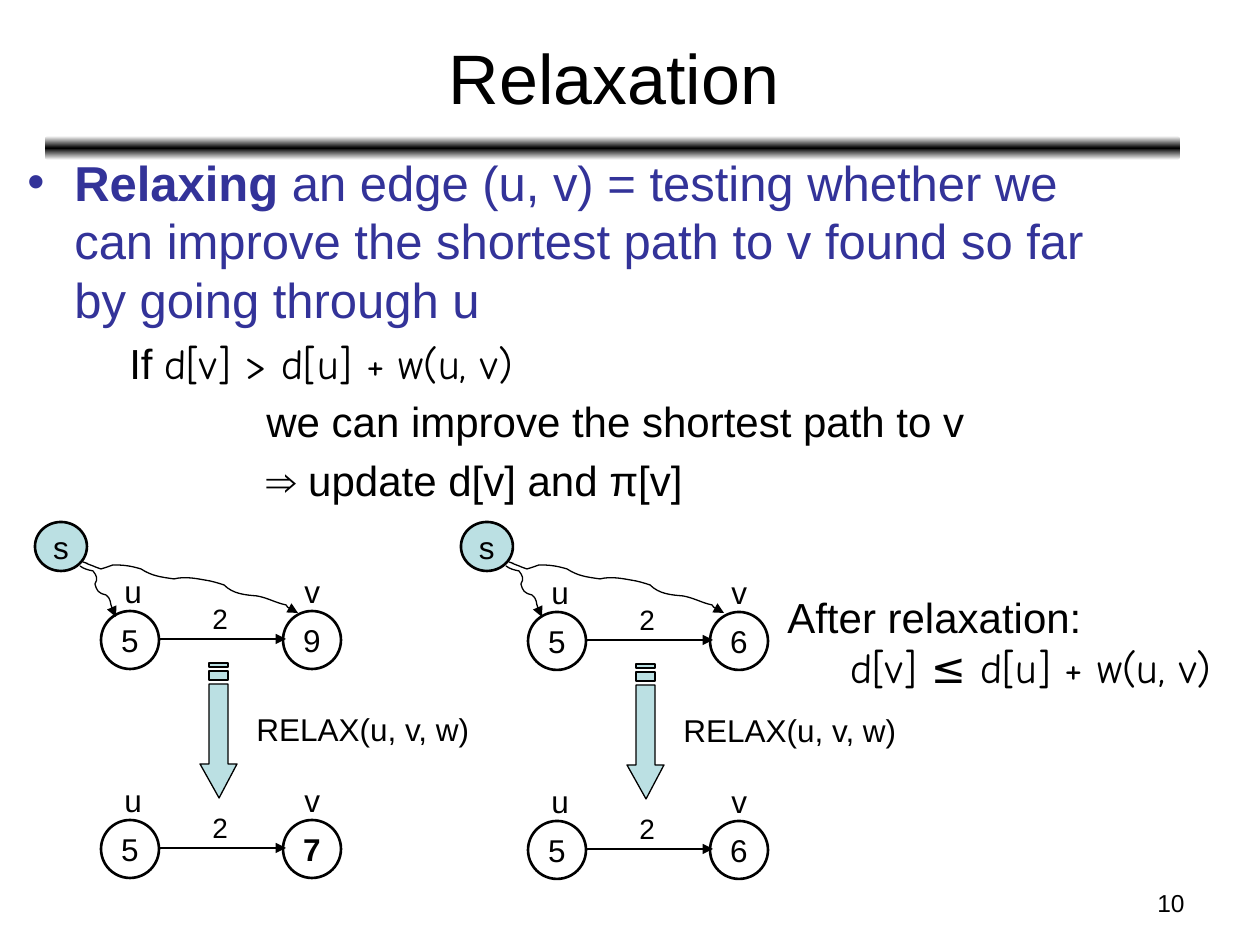
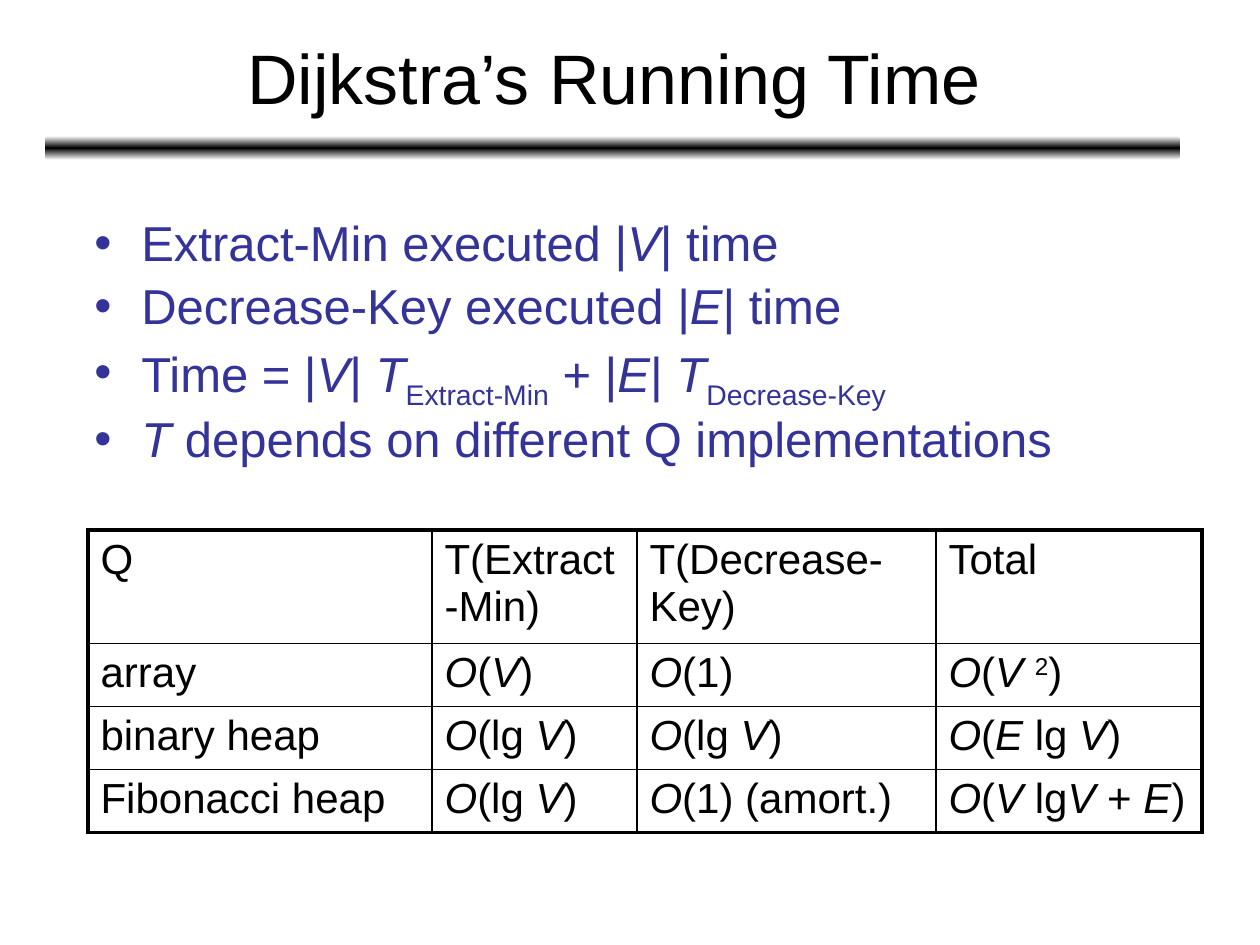
import copy
import pptx
import pptx.util
import pptx.dml.color
import pptx.enum.shapes
import pptx.enum.text
import pptx.oxml.ns
import pptx.oxml.xmlchemy
from lxml import etree

PX = 914400 / 126
BLACK = pptx.dml.color.RGBColor(0x00, 0x00, 0x00)
WHITE = pptx.dml.color.RGBColor(0xFF, 0xFF, 0xFF)
INDIGO = pptx.dml.color.RGBColor(0x33, 0x33, 0x99)
AQUA = pptx.dml.color.RGBColor(0xBB, 0xE0, 0xE3)
SANS, HAND = "Arial", "Comic Neue"
Pt = pptx.util.Pt
qn = pptx.oxml.ns.qn
SHAPE = pptx.enum.shapes.MSO_SHAPE
ALIGN = pptx.enum.text.PP_ALIGN
MIDDLE = pptx.enum.text.MSO_ANCHOR.MIDDLE


def marked(text):
    """Split text into runs; underscores switch italics on and off."""
    return [(part, "i" if n % 2 else "") for n, part in enumerate(text.split("_")) if part]


# ---- Content ----
RELAX_TITLE = "Relaxation"
RELAX_POINT = [("Relaxing ", "b"),
               ("an edge (u, v) = testing whether we can improve the shortest path "
                "to v found so far by going through u", "")]
RELAX_STEPS = [  # left indent, runs
    (102, [("If ", ""), ("d[v] > d[u] + w(u, v)", "hand")]),
    (239, [("we can improve the shortest path to v", "")]),
    (239, [("\u21d2 update d[v] and \u03c0[v]", "")]),
]
AFTER = ["After relaxation:", "d[v] \u2264 d[u] + w(u, v)"]
EXAMPLES = [  # graph corner, source corner, (v, style) before and after
    ((101, 611), (35, 522), [("9", ""), ("7", "b")]),
    ((528, 612), (461, 522), [("6", ""), ("6", "")]),
]
AFTER_STEP = 209
PATH_TO_U = [(45, 44), (49, 47), (53, 48), (58, 49), (62, 54), (63, 57), (60, 62),
             (62, 69), (63, 71), (71, 73), (77, 78), (74, 81), (78, 88),
             (79, 93), (79, 91), (81, 95)]
PATH_TO_V = [(48, 40), (60, 44), (42, 38), (58, 44), (60, 45), (66, 47), (66, 47),
             (76, 44), (72, 45), (78, 43), (89, 43), (96, 44), (106, 47),
             (117, 54), (125, 55), (139, 57), (151, 54), (163, 57), (175, 59),
             (180, 60), (189, 63), (189, 63), (198, 72), (210, 73), (222, 74),
             (233, 76), (241, 81), (251, 83), (253, 86), (257, 88), (260, 89),
             (261, 89), (263, 91), (263, 91)]
ARROW_PARTS = [  # right-pointing head and shaft, then the two stripes
    [(21, 9), (101, 9), (101, 0), (135, 18), (101, 37), (101, 28), (21, 28)],
    [(8, 9), (17, 9), (17, 28), (8, 28)],
    [(0, 9), (4, 9), (4, 28), (0, 28)],
]

TIME_TITLE = "Dijkstra\u2019s Running Time"
TIME_POINTS = [
    marked("Extract-Min executed |_V_| time"),
    marked("Decrease-Key executed |_E_| time"),
    marked("Time = |_V_| _T_") + [("Extract-Min", "sub")]
    + marked(" + |_E_| _T_") + [("Decrease-Key", "sub")],
    marked("_T_ depends on different Q implementations"),
]
LOG = marked("_\u039f_(lg_ V_)")
COSTS = [
    [marked(head) for head in ("Q", "T(Extract-Min)", "T(Decrease-Key)", "Total")],
    [marked("array"), marked("_\u039f_(_V_)"), marked("_\u039f_(1)"),
     marked("_\u039f_(_V _") + [("2", "sup"), (")", "")]],
    [marked("binary heap"), LOG, LOG, marked("_\u039f_(_E_ lg _V_)")],
    [marked("Fibonacci heap"), LOG, marked("_\u039f_(1) (amort.)"),
     marked("_\u039f_(_V_ lg_V_ + _E_)")],
]
COST_COLS, COST_ROW = [344, 205, 299, 266], 55


# ---- Helpers ----
def px(*lengths):
    return [pptx.util.Emu(round(n * PX)) for n in lengths]


def add_runs(p, runs, size, color=BLACK):
    for text, style in runs:
        r = p.add_run()
        r.text = text
        r.font.size, r.font.color.rgb = Pt(size), color
        r.font.name = HAND if style == "hand" else SANS
        r.font.bold, r.font.italic = style == "b", style == "i"
        if style in ("sub", "sup"):
            r._r.get_or_add_rPr().set("baseline", "-25000" if style == "sub" else "30000")


def layout_par(p, left=0, hang=0, bullet=False, relative_gap=True):
    pPr = p._p.get_or_add_pPr()
    pPr.set("marL", str(px(left)[0]))
    pPr.set("indent", str(-px(hang)[0]))
    if relative_gap:
        p.space_before = Pt(0)
        gap = pPr.find(qn("a:spcBef"))
        gap.remove(gap[0])
        etree.SubElement(gap, qn("a:spcPct")).set("val", "20000")
    if bullet:
        etree.SubElement(pPr, qn("a:buFont")).set("typeface", SANS)
        etree.SubElement(pPr, qn("a:buChar")).set("char", "\u2022")
    else:
        etree.SubElement(pPr, qn("a:buNone"))


def text_box(slide, at, wrap=True):
    sp = slide.shapes.add_textbox(*px(*at))
    sp.text_frame.word_wrap = wrap
    return sp


def label(slide, at, text, size=18):
    sp = text_box(slide, at, wrap=False)
    add_runs(sp.text_frame.paragraphs[0], [(text, "")], size)
    return sp


def style_shape(sp, width, fill=None):
    sp.shadow.inherit = False
    if fill is None:
        sp.fill.background()
    else:
        sp.fill.solid()
        sp.fill.fore_color.rgb = fill
    sp.line.color.rgb, sp.line.width = BLACK, Pt(width)
    return sp


def arrowhead(sp):
    etree.SubElement(sp.line._get_or_add_ln(), qn("a:tailEnd")).set("type", "triangle")


def node(slide, at, text, style="", fill=None):
    sp = style_shape(slide.shapes.add_shape(SHAPE.OVAL, *px(*at)), 1.5, fill)
    tf = sp.text_frame
    tf.word_wrap, tf.vertical_anchor = False, MIDDLE
    tf.paragraphs[0].alignment = ALIGN.CENTER
    add_runs(tf.paragraphs[0], [(text, style)], 18)
    return sp


def curve(slide, origin, points):
    """Draw an open path: a start point, then three points per Bezier piece."""
    x, y = origin
    builder = slide.shapes.build_freeform(*points[0], scale=PX)
    builder.add_line_segments(points[1:], close=False)
    sp = style_shape(builder.convert_to_shape(*px(x, y)), 0.75)
    lines = list(sp._element.iter(qn("a:lnTo")))
    for n in range(0, len(lines), 3):
        bezier = etree.Element(qn("a:cubicBezTo"))
        lines[n].addprevious(bezier)
        for ln in lines[n:n + 3]:
            bezier.append(ln[0])
            ln.getparent().remove(ln)
    arrowhead(sp)
    return sp


def edge_graph(slide, x, y, v, v_style):
    u_node = node(slide, (x, y, 58, 58), "5")
    v_node = node(slide, (x + 182, y, 58, 58), v, v_style)
    edge = slide.shapes.add_connector(pptx.enum.shapes.MSO_CONNECTOR.STRAIGHT,
                                      *px(x + 58, y + 28, x + 185, y + 28))
    edge.line.color.rgb, edge.line.width = BLACK, Pt(1.5)
    arrowhead(edge)
    etree.SubElement(edge._element.spPr, qn("a:effectLst"))
    slide.shapes.add_group_shape([
        u_node, v_node, edge,
        label(slide, (x + 99, y - 16, 40, 47), "2", 16),
        label(slide, (x + 11, y - 45, 43, 50), "u"),
        label(slide, (x + 191, y - 45, 42, 50), "v")])


def relax_arrow(slide, x, y):
    builder = None
    for part in ARROW_PARTS:
        if builder is None:
            builder = slide.shapes.build_freeform(*part[0], scale=PX)
        else:
            builder.move_to(*part[0])
        builder.add_line_segments(part[1:], close=True)
    sp = style_shape(builder.convert_to_shape(*px(x, y)), 0.75, AQUA)
    sp.rotation = 90


def add_slide(prs, title):
    """Title-only slide with the shared title style and gradient rule."""
    slide = prs.slides.add_slide(prs.slide_layouts[5])
    band = slide.shapes.add_shape(SHAPE.ROUNDED_RECTANGLE, *px(45, 136, 1135, 24))
    band.shadow.inherit = False
    band.line.fill.background()
    band.fill.gradient()
    band.fill.gradient_angle = 90
    first, last = band.fill.gradient_stops
    first.color.rgb, first.position = WHITE, 0
    last.color.rgb, last.position = BLACK, 0.5
    stops = list(band._element.iter(qn("a:gs")))
    end = copy.deepcopy(stops[0])
    end.set("pos", "100000")
    stops[1].addnext(end)

    sp = slide.shapes.title
    sp.left, sp.top, sp.width, sp.height = px(47, 14, 1134, 125)
    sp.text_frame.vertical_anchor = MIDDLE
    p = sp.text_frame.paragraphs[0]
    p.alignment = ALIGN.CENTER
    add_runs(p, [(title, "")], 40)
    return slide


def set_borders(cell, widths):
    tcPr = cell._tc.get_or_add_tcPr()
    for side, width in zip("LRTB", widths):
        ln = etree.SubElement(tcPr, qn("a:ln" + side), w=str(Pt(width)))
        fill = etree.SubElement(ln, qn("a:solidFill"))
        etree.SubElement(fill, qn("a:srgbClr")).set("val", str(BLACK))
    cell.fill.background()


prs = pptx.Presentation()
prs.slide_width, prs.slide_height = px(1260, 945)

# ---- Relaxation ----
slide = add_slide(prs, RELAX_TITLE)
tf = text_box(slide, (15, 146, 1134, 402)).text_frame
layout_par(tf.paragraphs[0], 47, 47, bullet=True)
add_runs(tf.paragraphs[0], RELAX_POINT, 28, INDIGO)
for left, runs in RELAX_STEPS:
    p = tf.add_paragraph()
    p.level = 1
    layout_par(p, left)
    add_runs(p, runs, 24)

for (x, y), (sx, sy), values in EXAMPLES:
    for n, (v, style) in enumerate(values):
        edge_graph(slide, x, y + n * AFTER_STEP, v, style)
    relax_arrow(slide, x + 50, y + 101)
    label(slide, (x + 143, y + 93, 241, 50), "RELAX(u, v, w)")
    slide.shapes.add_group_shape([
        node(slide, (sx, sy, 52, 49), "s", fill=AQUA),
        curve(slide, (sx, sy), PATH_TO_U),
        curve(slide, (sx, sy), PATH_TO_V)])

tf = text_box(slide, (775, 585, 467, 113)).text_frame
add_runs(tf.paragraphs[0], [(AFTER[0], "")], 24)
p = tf.add_paragraph()
p.level = 1
layout_par(p, 63, relative_gap=False)
add_runs(p, [(AFTER[1], "hand")], 24)

p = text_box(slide, (903, 882, 294, 44)).text_frame.paragraphs[0]
p.alignment = ALIGN.RIGHT
add_runs(p, [("10", "")], 14)

# ---- Running time ----
slide = add_slide(prs, TIME_TITLE)
tf = text_box(slide, (82, 213, 1152, 241)).text_frame
for n, runs in enumerate(TIME_POINTS):
    p = tf.add_paragraph() if n else tf.paragraphs[0]
    p.line_spacing = 0.9
    layout_par(p, 47, 47, bullet=True)
    add_runs(p, runs, 28, INDIGO)

rows, cols = len(COSTS), len(COST_COLS)
frame = slide.shapes.add_table(rows, cols, *px(88, 530, sum(COST_COLS), rows * COST_ROW))
table = frame.table
table.first_row = table.horz_banding = False
for col, width in zip(table.columns, COST_COLS):
    col.width = px(width)[0]
for i, row in enumerate(COSTS):
    table.rows[i].height = px(COST_ROW)[0]
    for j, runs in enumerate(row):
        cell = table.cell(i, j)
        p = cell.text_frame.paragraphs[0]
        layout_par(p)
        add_runs(p, runs, 24)
        outer = (j == 0, j == cols - 1, i == 0, i == rows - 1)
        set_borders(cell, [2.25 if edge else 1 for edge in outer])

prs.save("out.pptx")
